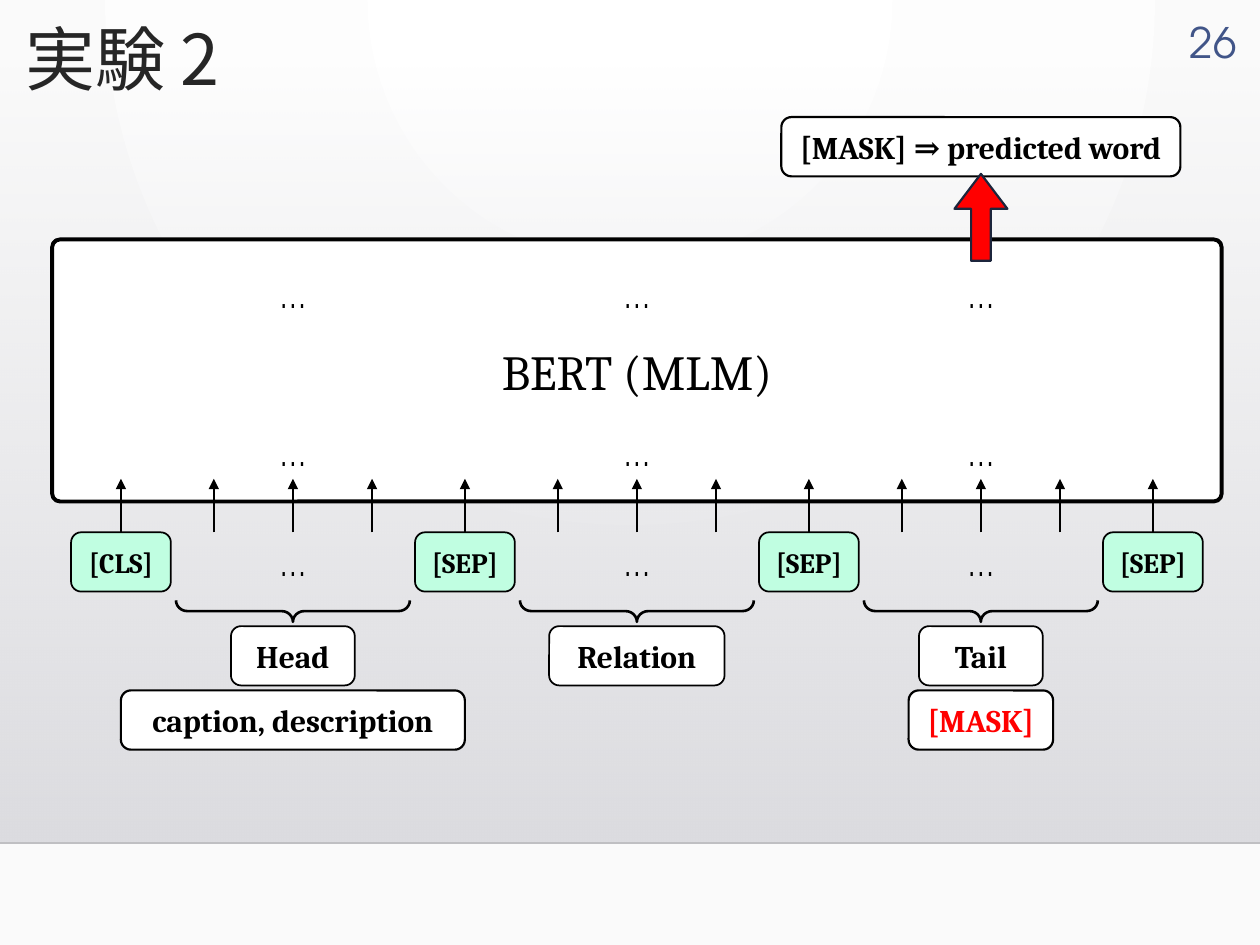
"""Build the slide that shows how a masked language model predicts the tail word."""
from dataclasses import dataclass

import lxml.etree
import pptx
import pptx.dml.color
import pptx.enum.shapes
import pptx.enum.text
import pptx.oxml.ns
import pptx.util

WIDE, HIGH = 10, 7.5
LEFT, COL, ROW = 0.96, 2.73, 0.5
MID, TIP, BASE = 0.5, 7.6, 8.45
STEPS = (0, 0.27, MID, 0.73)
SERIF, SANS, CJK = "Cambria", "TeX Gyre Adventor", "Noto Sans CJK JP"
HUES = {
    "black": "000000", "white": "FFFFFF", "mint": "C0FEE1", "red": "FF0000",
    "navy": "1C253C", "blue": "415588", "ink": "262626", "pale": "FAFAFA",
    "mist": "DCDCE0", "grey": "DEDEE2", "rule": "BFBFC2",
}
KIND = pptx.enum.shapes.MSO_SHAPE
SIDE = pptx.enum.text.PP_ALIGN
ANCHOR = pptx.enum.text.MSO_ANCHOR
inch = pptx.util.Inches
qn = pptx.oxml.ns.qn


@dataclass
class Box:
    """A rounded box, centred on a column and row and sized in the same units."""
    text: str
    col: float
    row: float
    wide: float
    high: float = 0.94
    size: float = 18
    bold: bool = True
    fill: str = "white"
    ink: str = "black"
    line: float = 1
    bend: float = 0.17


MODEL = Box("BERT (MLM)", 1.5, 5.88, 3.4, 4.16, 28, False, line=2.25, bend=0.03)
TOKENS = [Box(word, i, 8.92, 0.29, size=16, fill="mint")
          for i, word in enumerate(("[CLS]", "[SEP]", "[SEP]", "[SEP]"))]
LABELS = [
    Box("Head", 0.5, 10.41, 0.36),
    Box("Relation", 1.5, 10.41, 0.51),
    Box("Tail", 2.5, 10.41, 0.36),
    Box("caption, description", 0.5, 11.43, 1, line=1.25),
    Box("[MASK]", 2.5, 11.43, 0.42, ink="red", line=1.25),
    Box("[MASK] ⇒ predicted word", 2.5, 2.33, 1.16, line=1.25),
]


def hue(name: str) -> pptx.dml.color.RGBColor:
    """Return a named colour."""
    return pptx.dml.color.RGBColor.from_string(HUES[name])


def spot(col: float, row: float) -> tuple:
    """Return the point at a column and row of the grid."""
    return inch(LEFT + col * COL), inch(row * ROW)


def write(frame, text: str, font: str, size: float, ink: str, side, bold: bool = False) -> None:
    """Write one run of text into a frame."""
    para = frame.paragraphs[0]
    para.alignment = side
    run = para.add_run()
    run.text = text
    run.font.name, run.font.size, run.font.bold = font, pptx.util.Pt(size), bold
    run.font.color.rgb = hue(ink)
    lxml.etree.SubElement(run.font._element, qn("a:ea"), typeface=font)


def blend(fill, names: tuple) -> None:
    """Give a fill a gradient of two named colours."""
    fill.gradient()
    for stop, name, place in zip(fill.gradient_stops, names, (0, 1)):
        stop.color.rgb = hue(name)
        stop.position = place


def add_form(slide, kind, col: float, row: float, wide: float, high: float,
             fill: str, line: str, width: float):
    """Add a preset shape centred on a grid point."""
    x, y = spot(col, row)
    w, h = inch(wide), inch(high)
    form = slide.shapes.add_shape(kind, x - w // 2, y - h // 2, w, h)
    form.shadow.inherit = False
    if fill:
        form.fill.solid()
        form.fill.fore_color.rgb = hue(fill)
    else:
        form.fill.background()
    form.line.color.rgb = hue(line)
    form.line.width = pptx.util.Pt(width)
    return form


def add_box(slide, box: Box):
    """Add a rounded box with its text."""
    form = add_form(slide, KIND.ROUNDED_RECTANGLE, box.col, box.row, box.wide * COL,
                    box.high * ROW, box.fill, "black", box.line)
    form.adjustments[0] = box.bend
    form.text_frame.word_wrap = False
    form.text_frame.vertical_anchor = ANCHOR.MIDDLE
    write(form.text_frame, box.text, SERIF, box.size, box.ink, SIDE.CENTER, box.bold)
    return form


def add_line(slide, start: tuple, end: tuple, ink: str):
    """Add a straight line without a shadow."""
    line = slide.shapes.add_connector(pptx.enum.shapes.MSO_CONNECTOR.STRAIGHT, *start, *end)
    line.line.color.rgb = hue(ink)
    line.line.width = pptx.util.Pt(1)
    lxml.etree.SubElement(line._element.spPr, qn("a:effectLst"))
    return line


def add_arrow(slide, col: float, token=None) -> None:
    """Add an arrow up into the model, joined to a token if there is one."""
    line = add_line(slide, spot(col, BASE), spot(col, TIP), "black")
    if token is not None:
        line.begin_connect(token, 0)
    lxml.etree.SubElement(line.line._get_or_add_ln(), qn("a:tailEnd"), type="triangle")


def add_dots(slide, col: float, row: float) -> None:
    """Add an ellipsis centred on a grid point."""
    x, y = spot(col, row)
    w, h = inch(0.42), inch(0.4)
    dots = slide.shapes.add_textbox(x - w // 2, y - h // 2, w, h)
    write(dots.text_frame, "…", SANS, 18, "black", SIDE.CENTER)


def add_brace(slide, col: float) -> None:
    """Add a brace that points down to a label."""
    brace = add_form(slide, KIND.LEFT_BRACE, col, 9.7, 0.17, 0.68 * COL, "", "black", 1.5)
    brace.rotation = 270
    brace.adjustments[0], brace.adjustments[1] = 0.53, 0.5


def add_ground(slide) -> None:
    """Paint the background, the shaded panel and the rule under it."""
    blend(slide.background.fill, ("white", "pale"))
    grad = slide.element.find(".//" + qn("a:gradFill"))
    grad.remove(grad.find(qn("a:lin")))
    glow = lxml.etree.SubElement(grad, qn("a:path"), path="circle")
    lxml.etree.SubElement(glow, qn("a:fillToRect"), l="43000", t="0", r="43000", b="100000")
    top, foot = inch(0.51), inch(6.69)
    panel = slide.shapes.add_shape(KIND.RECTANGLE, 0, top, inch(WIDE), foot - top)
    panel.shadow.inherit = False
    panel.line.fill.background()
    blend(panel.fill, ("mist", "grey"))
    panel.fill.gradient_angle = 270
    first = panel._element.spPr.find(".//" + qn("a:srgbClr"))
    lxml.etree.SubElement(first, qn("a:alpha"), val="0")
    slide.shapes._spTree.insert(2, panel._element)
    add_line(slide, (0, foot), (inch(WIDE), foot), "rule")


def add_heads(slide) -> None:
    """Fill the title and the page number."""
    title = slide.shapes.title
    title.left, title.top = inch(0.01 * WIDE), inch(0.01 * HIGH)
    title.width, title.height = inch(0.47 * WIDE), inch(0.11 * HIGH)
    title.text_frame.vertical_anchor = ANCHOR.TOP
    write(title.text_frame, "実験 2", CJK, 40, "ink", SIDE.LEFT)
    page = slide.shapes.add_textbox(inch(9.19), inch(0.08), inch(0.72), inch(0.42))
    page.text_frame.word_wrap = True
    write(page.text_frame, "26", SANS, 24, "blue", SIDE.RIGHT)


def main() -> None:
    """Build and save the deck."""
    deck = pptx.Presentation()
    deck.slide_width, deck.slide_height = inch(WIDE), inch(HIGH)
    slide = deck.slides.add_slide(deck.slide_layouts[5])
    add_ground(slide)
    add_heads(slide)
    add_box(slide, MODEL)
    for i, token in enumerate([add_box(slide, box) for box in TOKENS]):
        add_arrow(slide, i, token)
    for i in range(len(TOKENS) - 1):
        for step in STEPS[1:]:
            add_arrow(slide, i + step)
        for row in (4.7, 7.2, 8.96):
            add_dots(slide, i + MID, row)
        add_brace(slide, i + MID)
    for box in LABELS:
        add_box(slide, box)
    rise = add_form(slide, KIND.UP_ARROW, 2.5, 3.45, 0.42, 0.69, "red", "navy", 1.25)
    rise.adjustments[0], rise.adjustments[1] = 0.37, 0.66
    deck.save("out.pptx")


if __name__ == "__main__":
    main()
